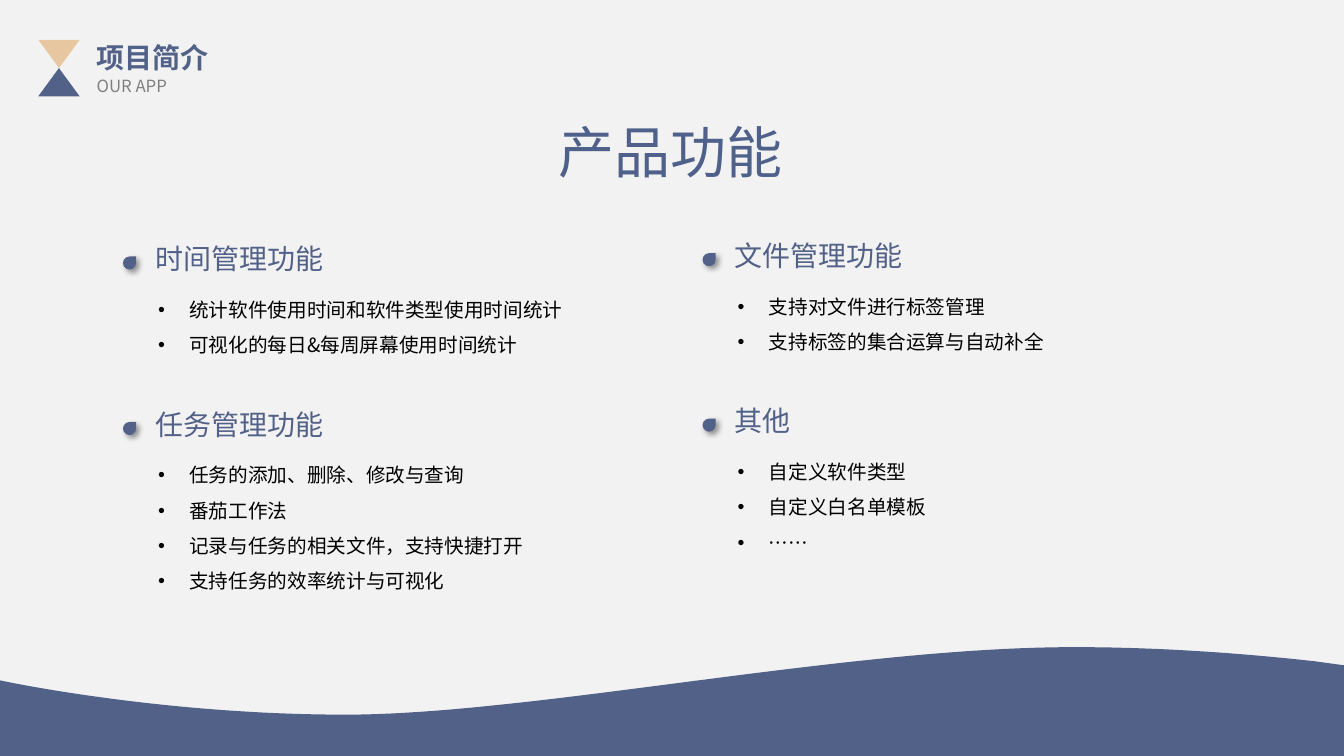
from lxml.etree import SubElement
from pptx import Presentation
from pptx.dml.color import RGBColor
from pptx.enum.shapes import MSO_SHAPE as Preset
from pptx.enum.text import MSO_AUTO_SIZE as AutoSize, PP_ALIGN as Align
from pptx.oxml.ns import qn
from pptx.util import Inches, Pt

# The slide is a grid of 160 columns by 90 rows of square cells
COLUMNS, ROWS = 160, 90
CELL = Inches(1) // 12

FONT = "Noto Sans CJK SC"
NAVY, SAND, PAPER = "526188", "E7C7A0", "F2F2F2"
TITLE_BLUE, GREY, BLACK = "4F618B", "808080", "000000"

# Sections by grid column, from top to bottom
SECTIONS = [
    [
        ("时间管理功能", ["统计软件使用时间和软件类型使用时间统计",
                    "可视化的每日&每周屏幕使用时间统计"]),
        ("任务管理功能", ["任务的添加、删除、修改与查询", "番茄工作法",
                    "记录与任务的相关文件，支持快捷打开",
                    "支持任务的效率统计与可视化"]),
    ],
    [
        ("文件管理功能", ["支持对文件进行标签管理", "支持标签的集合运算与自动补全"]),
        ("其他", ["自定义软件类型", "自定义白名单模板", "……"]),
    ],
]


def cells(*counts):
    return [round(count * CELL) for count in counts]


def color(value):
    return RGBColor.from_string(value)


def paint(shape, fill):
    shape.shadow.inherit = False
    shape.fill.solid()
    shape.fill.fore_color.rgb = color(fill)
    shape.line.fill.background()
    return shape


def add_preset(shapes, preset, area, fill, rotation=0):
    shape = paint(shapes.add_shape(preset, *cells(*area)), fill)
    shape.rotation = rotation
    return shape


def add_bullet(para):
    properties = para._p.get_or_add_pPr()
    indent = Inches(0.31)
    properties.set("marL", str(indent))
    properties.set("indent", str(-indent))
    SubElement(properties, qn("a:buFont"), typeface="Arial")
    SubElement(properties, qn("a:buChar"), char="•")


def add_text(shapes, lines, area, size=14, fill=BLACK, bold=False,
             align=None, spacing=None, bullets=False, wrap=True):
    box = shapes.add_textbox(*cells(*area))
    frame = box.text_frame
    frame.word_wrap = wrap
    frame.auto_size = AutoSize.SHAPE_TO_FIT_TEXT
    for index, line in enumerate(lines):
        para = frame.add_paragraph() if index else frame.paragraphs[0]
        para.alignment = align
        para.line_spacing = spacing
        if bullets:
            add_bullet(para)
        span = para.add_run()
        span.text = line
        span.font.size = Pt(size)
        span.font.bold = bold
        span.font.name = FONT
        span.font.color.rgb = color(fill)
        SubElement(span.font._element, qn("a:ea"), typeface=FONT)
    return box


def add_soft_shadow(shape):
    effects = shape._element.spPr.find(qn("a:effectLst"))
    shadow = SubElement(effects, qn("a:outerShdw"), blurRad=str(Pt(4)),
                        dist=str(Pt(3)), dir=str(45 * 60000),
                        algn="tl", rotWithShape="0")
    tone = SubElement(shadow, qn("a:srgbClr"), val=BLACK)
    SubElement(tone, qn("a:alpha"), val="40000")


def curve(start, control_1, control_2, end, steps=40):
    """Points along a cubic curve, without its start."""
    points = []
    for step in range(1, steps + 1):
        t = step / steps
        weights = ((1 - t) ** 3, 3 * t * (1 - t) ** 2, 3 * t * t * (1 - t), t ** 3)
        points.append(tuple(
            sum(weight * value for weight, value in zip(weights, axis))
            for axis in zip(start, control_1, control_2, end)))
    return points


def add_wave(shapes):
    crest, trough = (127.8, 77.04), (41.16, 85.08)
    left_edge, right_bend = (0, 81), (156.48, 78.72)
    bottom = ROWS + 0.36
    points = [
        *curve(crest, (100.8, 77.04), (63.36, 85.08), trough),
        *curve(trough, (18.84, 85.08), left_edge, left_edge),
        (0, bottom), (COLUMNS, bottom), (COLUMNS, 79.2), right_bend,
        *curve(right_bend, (147.84, 77.76), (137.88, 77.04), crest),
    ]
    builder = shapes.build_freeform(*cells(*crest))
    builder.add_line_segments([cells(*point) for point in points], close=True)
    paint(builder.convert_to_shape(), NAVY)


def add_header(page):
    shapes = page.shapes.add_group_shape().shapes
    # Hourglass of two triangles
    add_preset(shapes, Preset.ISOSCELES_TRIANGLE, (4.56, 8.1, 4.92, 3.36), NAVY)
    add_preset(shapes, Preset.ISOSCELES_TRIANGLE, (4.56, 4.74, 4.92, 3.36), SAND,
               rotation=180)
    add_text(shapes, ["项目简介"], (10.32, 4.2, 21.48, 5.28), size=20, fill=NAVY,
             bold=True, align=Align.JUSTIFY)
    add_text(shapes, ["OUR APP"], (10.32, 8.4, 15.84, 3.6), size=12, fill=GREY,
             align=Align.JUSTIFY)


def add_section(page, left, top, heading, items):
    shapes = page.shapes.add_group_shape().shapes
    add_text(shapes, [heading], (left + 2.64, top, 26.4, 5.28), size=20,
             fill=NAVY, align=Align.JUSTIFY)
    add_text(shapes, items, (left + 3, top + 5.28, 69.36, 1.2 + 4.2 * len(items)),
             spacing=1.5, bullets=True)
    drop = add_preset(shapes, Preset.TEAR, (left, top + 2.34, 1.56, 1.56), NAVY)
    add_soft_shadow(drop)


def main():
    deck = Presentation()
    deck.slide_width, deck.slide_height = cells(COLUMNS, ROWS)
    page = deck.slides.add_slide(deck.slide_layouts[6])
    page.background.fill.solid()
    page.background.fill.fore_color.rgb = color(PAPER)

    # Title, header and wave
    add_text(page.shapes, ["产品功能"], (65.28, 13.44, 29.04, 9.24), size=40,
             fill=TITLE_BLUE, wrap=False)
    add_header(page)
    add_wave(page.shapes)

    # Two by two sections, the right column slightly higher
    for column, sections in enumerate(SECTIONS):
        for row, (heading, items) in enumerate(sections):
            add_section(page, 14.64 + 69 * column,
                        28.2 - 0.4 * column + 19.7 * row, heading, items)

    deck.save("out.pptx")


main()
